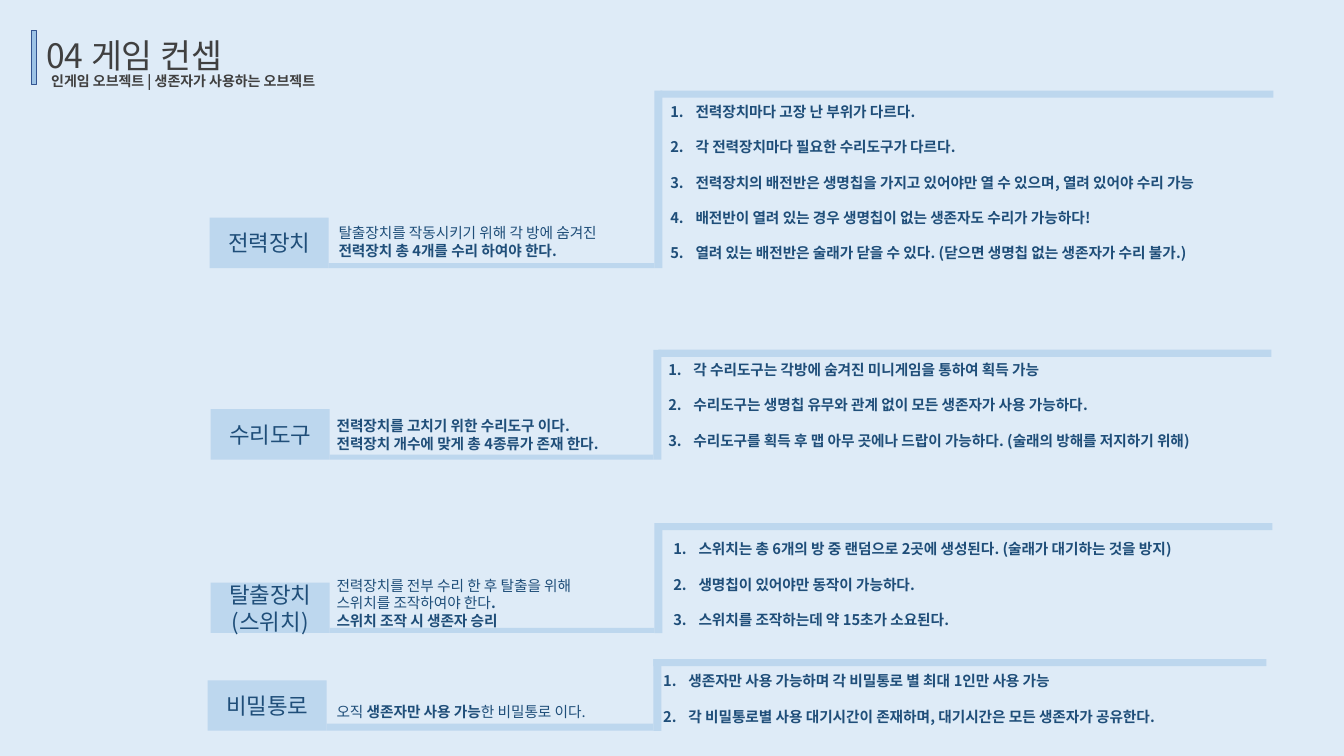
from lxml import etree
from pptx import Presentation
from pptx.dml.color import RGBColor
from pptx.enum import shapes, text
from pptx.oxml import ns
from pptx.util import Inches, Pt

FONT = "Noto Sans CJK KR"
COLORS = {"back": "DEEBF7", "band": "BDD7EE", "navy": "1F4E79",
          "title": "404040", "mark": "9DC3E6", "mark_line": "325491"}
LINE = 1.2  # line height as a multiple of the text size
BODY = 10.5
LINE_IN = BODY * LINE / 72

# box: left, top, width, height of the whole row; post: x of the upright bar
ROWS = [
    dict(box=(2.08, 0.9, 10.55, 1.76), post=6.49, bar=6.55, foot=0.05,
         label=["전력장치"], about_at=(3.26, 2.17, 3.12),
         about=["탈출장치를 작동시키기 위해 각 방에 숨겨진",
                "**전력장치 총 4개를 수리 하여야 한다.**"],
         rules_at=(6.55, 0.97, 6.08),
         rules=["전력장치마다 고장 난 부위가 다르다.",
                "각 전력장치마다 필요한 수리도구가 다르다.",
                "전력장치의 배전반은 생명칩을 가지고 있어야만 열 수 있으며, 열려 있어야 수리 가능",
                "배전반이 열려 있는 경우 생명칩이 없는 생존자도 수리가 가능하다!",
                "열려 있는 배전반은 술래가 닫을 수 있다. (닫으면 생명칩 없는 생존자가 수리 불가.)"]),
    dict(box=(2.09, 3.47, 10.52, 1.09), post=6.48, bar=6.53, foot=0.05,
         label=["수리도구"], about_at=(3.24, 4.09, 3.15),
         about=["**전력장치를 고치기 위한 수리도구 이다.**",
                "**전력장치 개수에 맞게 총 4종류가 존재 한다.**"],
         rules_at=(6.53, 3.53, 6.04),
         rules=["각 수리도구는 각방에 숨겨진 미니게임을 통하여 획득 가능",
                "수리도구는 생명칩 유무와 관계 없이 모든 생존자가 사용 가능하다.",
                "수리도구를 획득 후 맵 아무 곳에나 드랍이 가능하다. (술래의 방해를 저지하기 위해)"]),
    dict(box=(2.09, 5.19, 10.53, 1.09), post=6.49, bar=6.54, foot=0.05,
         label=["탈출장치", "(스위치)"], about_at=(3.24, 5.67, 2.87),
         about=["전력장치를 전부 수리 한 후 탈출을 위해",
                "스위치를 조작하여야 한다**.**",
                "**스위치 조작 시 생존자 승리**"],
         rules_at=(6.58, 5.31, 5.77),
         rules=["스위치는 총 6개의 방 중 랜덤으로 2곳에 생성된다. (술래가 대기하는 것을 방지)",
                "생명칩이 있어야만 동작이 가능하다.",
                "스위치를 조작하는데 약 15초가 소요된다."]),
    dict(box=(2.06, 6.54, 10.5, 0.71), post=6.48, bar=6.48, foot=0.07,
         label=["비밀통로"], about_at=(3.24, 6.92, 3),
         about=["오직 **생존자만 사용 가능**한 비밀통로 이다."],
         rules_at=(6.48, 6.62, 5.63),
         rules=["생존자만 사용 가능하며 각 비밀통로 별 최대 1인만 사용 가능",
                "각 비밀통로별 사용 대기시간이 존재하며, 대기시간은 모든 생존자가 공유한다."]),
]


def rgb(name):
    return RGBColor.from_string(COLORS[name])


def add_rect(s, x, y, w, h, fill="band"):
    sp = s.shapes.add_shape(shapes.MSO_SHAPE.RECTANGLE,
                            Inches(x), Inches(y), Inches(w), Inches(h))
    sp.shadow.inherit = False
    sp.fill.solid()
    sp.fill.fore_color.rgb = rgb(fill)
    sp.line.fill.background()
    return sp


def number(p):
    """Give a paragraph an automatic number and a hanging indent."""
    pPr = p._p.get_or_add_pPr()
    pPr.set("marL", str(Inches(0.25)))
    pPr.set("indent", str(-Inches(0.25)))
    etree.SubElement(pPr, ns.qn("a:buAutoNum"), type="arabicPeriod")


def write(tf, lines, size, color="navy", align=text.PP_ALIGN.LEFT, numbered=False):
    """Fill a text frame; parts between ** marks are bold."""
    for i, line in enumerate(lines):
        p = tf.add_paragraph() if i else tf.paragraphs[0]
        if numbered:
            number(p)
            if i:
                p.space_before = Pt(size * LINE)
        p.alignment = align
        p.line_spacing = Pt(size * LINE)
        for j, part in enumerate(line.split("**")):
            if not part:
                continue
            r = p.add_run()
            r.text = part
            r.font.name = FONT
            r.font.size = Pt(size)
            r.font.bold = j % 2 == 1
            r.font.color.rgb = rgb(color)
            etree.SubElement(r._r.get_or_add_rPr(), ns.qn("a:ea"), typeface=FONT)


def add_text(s, x, y, w, h, lines, size, wrap=False, **style):
    tf = s.shapes.add_textbox(Inches(x), Inches(y), Inches(w), Inches(h)).text_frame
    tf.word_wrap = wrap
    write(tf, lines, size, **style)


def add_header(s, x, y):
    add_text(s, x + 0.05, y, 5.09, 0.5, ["04 게임 컨셉"], 24, wrap=True, color="title")
    mark = add_rect(s, x, y, 0.05, 0.54, "mark")
    mark.line.color.rgb = rgb("mark_line")
    mark.line.width = Pt(1)
    add_text(s, x + 0.1, y + 0.37, 5.09, 0.27,
             ["**인게임 오브젝트 | 생존자가 사용하는 오브젝트**"], 10, wrap=True, color="title")


def add_row(s, box, post, bar, foot, label, about_at, about, rules_at, rules):
    """Label and description on a stepped band, with numbered rules at its right."""
    x, y, w, h = box
    bottom = y + h
    tag_w, tag_h = 1.18, 0.5
    tag = add_rect(s, x, bottom - tag_h, tag_w, tag_h)
    tag.text_frame.vertical_anchor = text.MSO_ANCHOR.MIDDLE
    write(tag.text_frame, label, 16, align=text.PP_ALIGN.CENTER)

    foot_x = x + tag_w
    add_rect(s, foot_x, bottom - foot, post - foot_x, foot)
    add_rect(s, post, y, 0.08, h)
    add_rect(s, bar, y, x + w - bar, 0.07)

    add_text(s, *about_at, 0.1 + LINE_IN * len(about), about, BODY)
    add_text(s, *rules_at, 0.1 + LINE_IN * (2 * len(rules) - 1),
             [f"**{rule}**" for rule in rules], BODY, numbered=True)


def main():
    prs = Presentation()
    prs.slide_width, prs.slide_height = Inches(13.33), Inches(7.5)
    s = prs.slides.add_slide(prs.slide_layouts[6])
    s.background.fill.solid()
    s.background.fill.fore_color.rgb = rgb("back")
    add_header(s, 0.31, 0.3)
    for row in ROWS:
        add_row(s, **row)
    prs.save("out.pptx")


if __name__ == "__main__":
    main()
